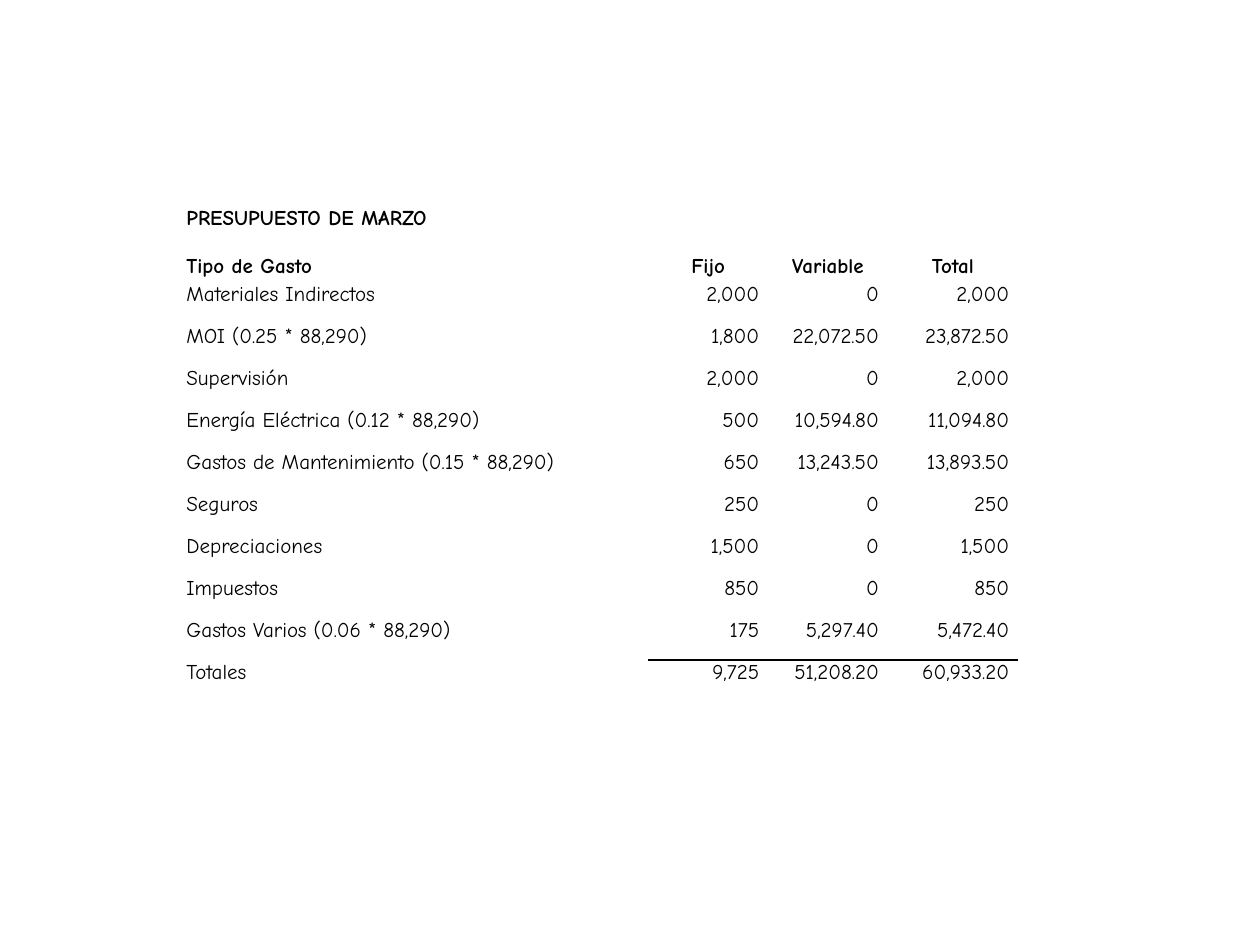
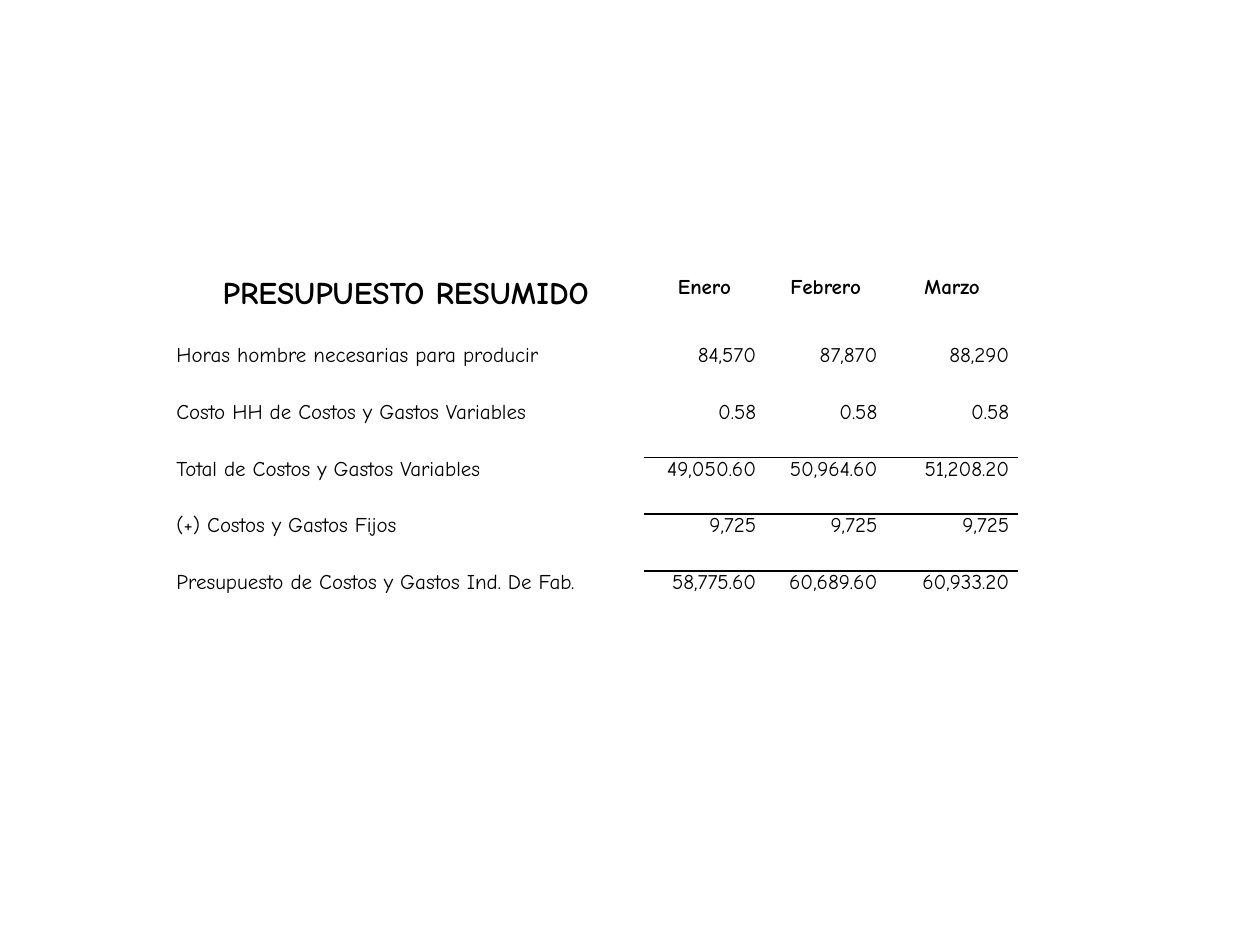
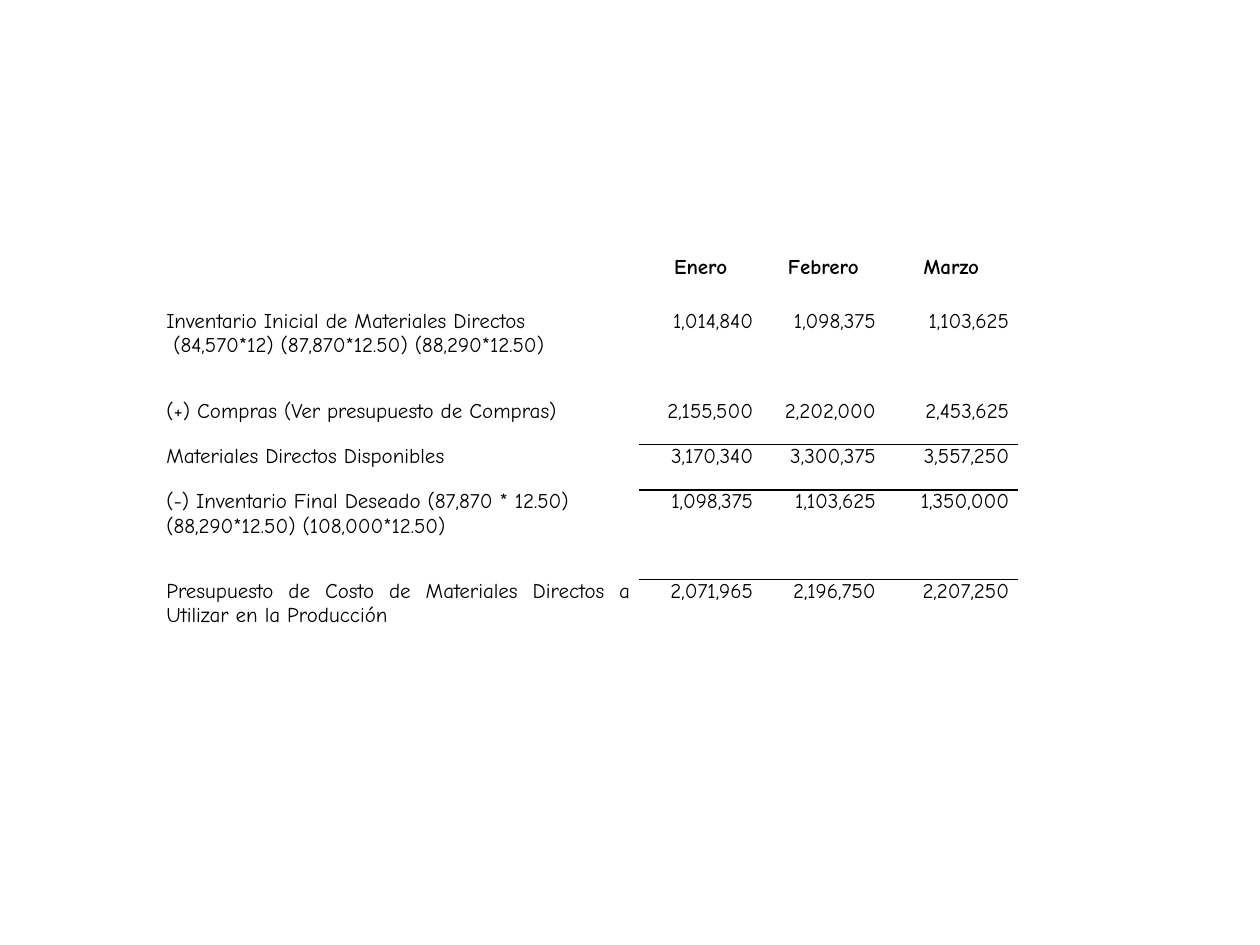
from pptx import Presentation
from pptx.dml.color import RGBColor
from pptx.enum.text import MSO_ANCHOR, PP_ALIGN
from pptx.oxml import parse_xml
from pptx.oxml.ns import nsdecls, qn
from pptx.util import Inches, Pt

LEFT, CENTER = PP_ALIGN.LEFT, PP_ALIGN.CENTER
RIGHT, JUSTIFY = PP_ALIGN.RIGHT, PP_ALIGN.JUSTIFY
TOP, BOTTOM = MSO_ANCHOR.TOP, MSO_ANCHOR.BOTTOM

# Shared look
FONT = "Comic Neue"
INK = "000000"
TEXT_SIZE = 12
TITLE_SIZE = 18
SIDE_INSET = 0.07
TABLE_RIGHT = 8.08
COLUMN_SHARES = (56, 14.25, 14.25, 15.5)  # percent of the table width
PLAIN_TABLE_STYLE = "{2D5ABB26-0587-4C30-8999-92F81FD0307C}"

MONTHS = ["Enero", "Febrero", "Marzo"]

MARCH_ROWS = [
    ["Materiales Indirectos", "2,000", "0", "2,000"],
    ["MOI (0.25 * 88,290)", "1,800", "22,072.50", "23,872.50"],
    ["Supervisión", "2,000", "0", "2,000"],
    ["Energía Eléctrica (0.12 * 88,290)", "500", "10,594.80", "11,094.80"],
    ["Gastos de Mantenimiento (0.15 * 88,290)", "650", "13,243.50", "13,893.50"],
    ["Seguros", "250", "0", "250"],
    ["Depreciaciones", "1,500", "0", "1,500"],
    ["Impuestos", "850", "0", "850"],
    ["Gastos Varios (0.06 * 88,290)", "175", "5,297.40", "5,472.40"],
    ["Totales", "9,725", "51,208.20", "60,933.20"],
]

SUMMARY_ROWS = [
    ["Horas hombre necesarias para producir", "84,570", "87,870", "88,290"],
    ["Costo HH de Costos y Gastos Variables", "0.58", "0.58", "0.58"],
    ["Total de Costos y Gastos Variables", "49,050.60", "50,964.60", "51,208.20"],
    ["(+) Costos y Gastos Fijos", "9,725", "9,725", "9,725"],
    ["Presupuesto de Costos y Gastos Ind. De Fab.",
     "58,775.60", "60,689.60", "60,933.20"],
]

MATERIAL_ROWS = [
    ["Inventario Inicial de Materiales Directos\n"
     " (84,570*12) (87,870*12.50) (88,290*12.50)",
     "1,014,840", "1,098,375", "1,103,625"],
    ["(+) Compras (Ver presupuesto de Compras)",
     "2,155,500", "2,202,000", "2,453,625"],
    ["Materiales Directos Disponibles", "3,170,340", "3,300,375", "3,557,250"],
    ["(-) Inventario Final Deseado (87,870 * 12.50)\n"
     "(88,290*12.50) (108,000*12.50)",
     "1,098,375", "1,103,625", "1,350,000"],
    ["Presupuesto de Costo de Materiales Directos a Utilizar en la Producción",
     "2,071,965", "2,196,750", "2,207,250"],
]


def color(hex_value):
    return RGBColor.from_string(hex_value)


def write_cell(cell, text, align, bold=False, size=TEXT_SIZE, anchor=TOP):
    cell.fill.background()
    cell.margin_left = cell.margin_right = Inches(SIDE_INSET)
    cell.margin_top = cell.margin_bottom = 0
    cell.vertical_anchor = anchor
    cell.text = text
    for paragraph in cell.text_frame.paragraphs:
        paragraph.alignment = align
        font = paragraph.font
        font.name, font.size, font.bold = FONT, Pt(size), bold
        font.color.rgb = color(INK)


def rule_edge(cell, edge):
    """Draw a 1 pt line on one edge: lnT or lnB."""
    line = parse_xml(
        f'<a:{edge} {nsdecls("a")} w="{Pt(1)}"><a:solidFill>'
        f'<a:srgbClr val="{INK}"/></a:solidFill></a:{edge}>')
    cell._tc.get_or_add_tcPr().insert(0, line)


def budget_table(page, top, width, heights, headings, rows, total_rows):
    """Place a right-aligned budget grid; total_rows get a line above them."""
    frame = page.shapes.add_table(
        len(heights), len(COLUMN_SHARES), Inches(TABLE_RIGHT - width),
        Inches(top), Inches(width), Inches(sum(heights)))
    frame.element.find(".//" + qn("a:tableStyleId")).text = PLAIN_TABLE_STYLE
    table = frame.table
    table.first_row = table.horz_banding = False
    for column, share in zip(table.columns, COLUMN_SHARES):
        column.width = Inches(width * share / 100)
    for row, height in zip(table.rows, heights):
        row.height = Inches(height)

    # Headings
    for index, heading in enumerate(headings):
        write_cell(table.cell(0, index), heading, CENTER, bold=True)

    # Labels and amounts
    for row_index, values in enumerate(rows, start=1):
        for index, value in enumerate(values):
            align = RIGHT if index else JUSTIFY
            write_cell(table.cell(row_index, index), value, align)

    # Lines above totals
    for row_index in total_rows:
        for index in range(1, len(COLUMN_SHARES)):
            rule_edge(table.cell(row_index - 1, index), "lnB")
            rule_edge(table.cell(row_index, index), "lnT")
    return table


def march_slide(page):
    headings = ["PRESUPUESTO DE MARZO\nTipo de Gasto", "Fijo", "Variable", "Total"]
    heights = [0.6] + [1 / 3] * len(MARCH_ROWS)
    table = budget_table(page, 1.64, 6.67, heights, headings, MARCH_ROWS, [10])
    for index, heading in enumerate(headings):
        cell = table.cell(0, index)
        write_cell(cell, heading, CENTER if index else LEFT, True, anchor=BOTTOM)
        cell.margin_bottom = Inches(0.03)
    table.cell(0, 0).text_frame.paragraphs[0].space_after = Pt(13.5)


def summary_slide(page):
    title = "PRESUPUESTO RESUMIDO"
    heights = [0.54] + [0.45] * len(SUMMARY_ROWS)
    table = budget_table(page, 2.19, 6.75, heights, [title] + MONTHS,
                         SUMMARY_ROWS, [3, 5])
    write_cell(table.cell(0, 0), title, CENTER, True, TITLE_SIZE)


def materials_slide(page):
    heights = [0.43, 0.71, 0.36, 0.36, 0.71, 0.71]
    budget_table(page, 2.03, 6.83, heights, [""] + MONTHS, MATERIAL_ROWS, [3, 5])


def main():
    deck = Presentation()
    deck.slide_width, deck.slide_height = Inches(10), Inches(7.5)
    blank = deck.slide_layouts[6]
    for build in (march_slide, summary_slide, materials_slide):
        build(deck.slides.add_slide(blank))
    deck.save("out.pptx")


if __name__ == "__main__":
    main()
